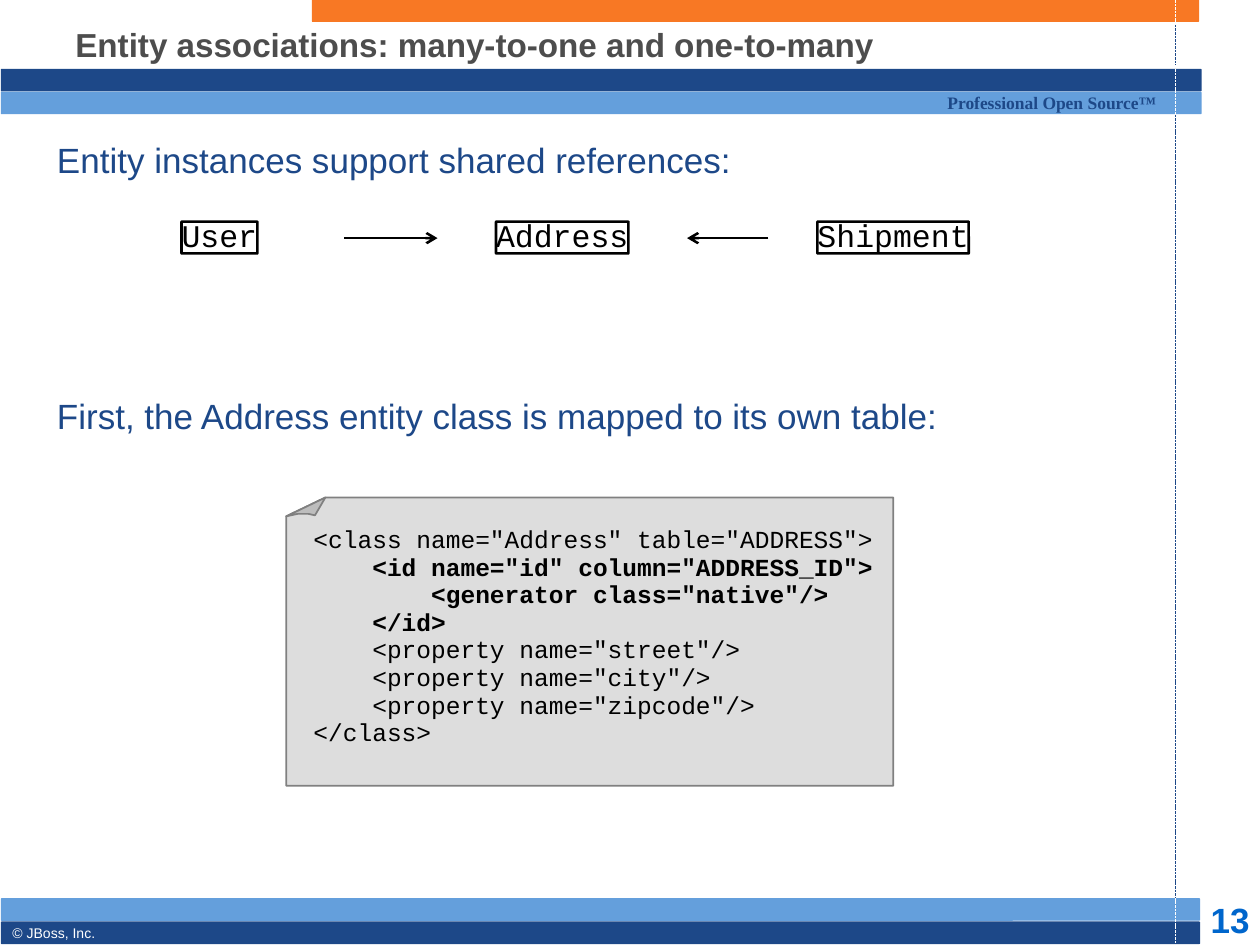
from dataclasses import dataclass

from lxml.etree import SubElement
from pptx import Presentation
from pptx.dml.color import RGBColor
from pptx.enum.dml import MSO_LINE_DASH_STYLE as Dash
from pptx.enum.shapes import MSO_CONNECTOR as Connector, MSO_SHAPE as Preset
from pptx.enum.text import MSO_ANCHOR as Anchor, MSO_AUTO_SIZE as AutoSize, PP_ALIGN as Align
from pptx.oxml.ns import qn
from pptx.util import Cm, Pt

NAVY = RGBColor(0x1D, 0x48, 0x88)
SKY = RGBColor(0x64, 0x9F, 0xDC)
ORANGE = RGBColor(0xF8, 0x78, 0x24)
WHITE = RGBColor(0xFF, 0xFF, 0xFF)
BLACK = RGBColor(0, 0, 0)
TITLE_GRAY = RGBColor(0x4D, 0x4D, 0x4D)
NUMBER_BLUE = RGBColor(0, 0x66, 0xCC)
PAPER = RGBColor(0xDD, 0xDD, 0xDD)
FOLD = RGBColor(0xBD, 0xBD, 0xBD)
EDGE = RGBColor(0x80, 0x80, 0x80)


@dataclass(frozen=True)
class Band:
    left: float
    top: float
    width: float
    color: RGBColor


@dataclass(frozen=True)
class Line:
    start: tuple[float, float]
    end: tuple[float, float]
    color: RGBColor
    weight: float
    dashed: bool = False
    arrow: bool = False


@dataclass(frozen=True)
class Style:
    font: str
    size: float
    color: RGBColor
    bold: bool = False
    spacing: float = 1.0


@dataclass(frozen=True)
class Label:
    text: str
    place: tuple[float, float, float, float]
    style: Style
    insets: tuple[float, float, float, float] = (0.25, 0.13, 0.25, 0.13)
    wrap: bool = False
    anchor: Anchor = Anchor.TOP
    align: Align = Align.LEFT


@dataclass(frozen=True)
class Entity:
    name: str
    left: float
    width: float


BANDS = [
    Band(0.03, 1.4, 24.18, NAVY),
    Band(0.03, 1.86, 24.18, SKY),
    Band(0.03, 18.12, 24.15, SKY),
    Band(0.03, 18.59, 24.15, NAVY),
    Band(6.3, 0, 17.86, ORANGE),
]
MARGIN_X = 23.7
MARGIN_PARTS = [
    (0, 0.44, WHITE), (0.5, 1.32, NAVY), (1.32, 2.31, WHITE),
    (2.31, 18.1, NAVY), (18.1, 19.03, WHITE),
]
ARROW_Y = 4.8
LINES = [
    Line((MARGIN_X, top), (MARGIN_X, bottom), color, 0.5, dashed=True)
    for top, bottom, color in MARGIN_PARTS
] + [
    Line((start, ARROW_Y), (end, ARROW_Y), BLACK, 1.45, arrow=True)
    for start, end in [(6.94, 8.82), (15.49, 13.85)]
]
ENTITY_STYLE = Style("Courier New", 18, BLACK, spacing=0.89)
ENTITIES = [Entity("User", 3.66, 1.53), Entity("Address", 10, 2.67), Entity("Shipment", 16.48, 3.05)]
CODE = """<class name="Address" table="ADDRESS">
    <id name="id" column="ADDRESS_ID">
        <generator class="native"/>
    </id>
    <property name="street"/>
    <property name="city"/>
    <property name="zipcode"/>
</class>"""
BOLD_CODE_LINES = range(1, 4)
LABELS = [
    Label("© JBoss, Inc.", (0, 18.57, 2.18, 0.53), Style("Arial", 8, WHITE, spacing=0.84)),
    Label("13", (24.2, 18.19, 1.2, 0.74), Style("Arial", 20, NUMBER_BLUE, True, 0.93),
          insets=(0, 0, 0, 0), align=Align.CENTER),
    Label("Professional Open Source™", (18.85, 1.78, 4.72, 0.58),
          Style("Times New Roman", 10, NAVY, True, 0.86)),
    Label("Entity associations: many-to-one and one-to-many", (1.27, 0.36, 21.59, 1.07),
          Style("Arial", 19, TITLE_GRAY, True), wrap=True, anchor=Anchor.MIDDLE),
]
BODY = Label(
    "Entity instances support shared references:\n"
    "First, the Address entity class is mapped to its own table:",
    (1.15, 2.8, 22.3, 15.1), Style("Arial", 20, NAVY), insets=(0, 0, 0, 0), wrap=True)
LISTING = Label(CODE, (6.07, 10.13, 11.79, 4.8), Style("Courier New", 14, BLACK, spacing=0.94),
                insets=(0.25, 0.51, 0.25, 0.13))
SHEET = [(18.01, 15.84), (5.77, 15.84), (5.77, 10.41), (6.56, 10.03), (18.01, 10.03)]
CORNER = [(6.56, 10.03), (6.35, 10.39), (6.22, 10.36), (6.0, 10.36), (5.77, 10.41)]


def draw_band(page, band: Band) -> None:
    shape = page.shapes.add_shape(
        Preset.ROUNDED_RECTANGLE, Cm(band.left), Cm(band.top), Cm(band.width), Cm(0.43))
    shape.adjustments[0] = 0.01
    shape.shadow.inherit = False
    shape.fill.solid()
    shape.fill.fore_color.rgb = band.color
    shape.line.color.rgb = band.color
    shape.line.width = Pt(0.75)


def draw_line(page, line: Line) -> None:
    connector = page.shapes.add_connector(
        Connector.STRAIGHT, *(Cm(value) for value in line.start + line.end))
    connector.line.color.rgb = line.color
    connector.line.width = Pt(line.weight)
    if line.dashed:
        connector.line.dash_style = Dash.SQUARE_DOT
    if line.arrow:
        SubElement(connector.line._get_or_add_ln(), qn("a:tailEnd"), type="arrow")
    SubElement(connector._element.spPr, qn("a:effectLst"))


def write_text(shape, label: Label) -> None:
    frame = shape.text_frame
    frame.text = label.text
    frame.word_wrap = label.wrap
    frame.auto_size = AutoSize.NONE
    frame.vertical_anchor = label.anchor
    frame.margin_left, frame.margin_top, frame.margin_right, frame.margin_bottom = (
        Cm(inset) for inset in label.insets)
    style = label.style
    for para in frame.paragraphs:
        para.alignment = label.align
        para.line_spacing = style.spacing
        for span in para.runs:
            span.font.name = style.font
            span.font.size = Pt(style.size)
            span.font.bold = style.bold
            span.font.color.rgb = style.color


def draw_label(page, label: Label):
    box = page.shapes.add_textbox(*(Cm(value) for value in label.place))
    write_text(box, label)
    return box.text_frame.paragraphs


def draw_entity(page, entity: Entity) -> None:
    place = (entity.left, 4.47, entity.width, 0.64)
    shape = page.shapes.add_shape(Preset.ROUNDED_RECTANGLE, *(Cm(value) for value in place))
    shape.adjustments[0] = 0.005
    shape.shadow.inherit = False
    shape.fill.background()
    shape.line.color.rgb = BLACK
    shape.line.width = Pt(1.45)
    write_text(shape, Label(entity.name, place, ENTITY_STYLE, (0, 0, 0, 0), anchor=Anchor.MIDDLE))


def draw_outline(page, points: list[tuple[float, float]], color: RGBColor) -> None:
    corners = [(Cm(left), Cm(top)) for left, top in points]
    builder = page.shapes.build_freeform(*corners[0])
    builder.add_line_segments(corners[1:], close=True)
    shape = builder.convert_to_shape()
    shape.shadow.inherit = False
    shape.fill.solid()
    shape.fill.fore_color.rgb = color
    shape.line.color.rgb = EDGE
    shape.line.width = Pt(1)


def main() -> None:
    deck = Presentation()
    deck.slide_width, deck.slide_height = Cm(25.4), Cm(19.05)
    page = deck.slides.add_slide(deck.slide_layouts[6])
    for band in BANDS:
        draw_band(page, band)
    for line in LINES:
        draw_line(page, line)
    for label in LABELS:
        draw_label(page, label)
    draw_label(page, BODY)[1].space_before = Pt(122)
    for entity in ENTITIES:
        draw_entity(page, entity)
    draw_outline(page, SHEET, PAPER)
    draw_outline(page, CORNER, FOLD)
    code_lines = draw_label(page, LISTING)
    code_lines[0].line_spacing = 0.89
    for index in BOLD_CODE_LINES:
        code_lines[index].runs[0].font.bold = True
    deck.save("out.pptx")


if __name__ == "__main__":
    main()
